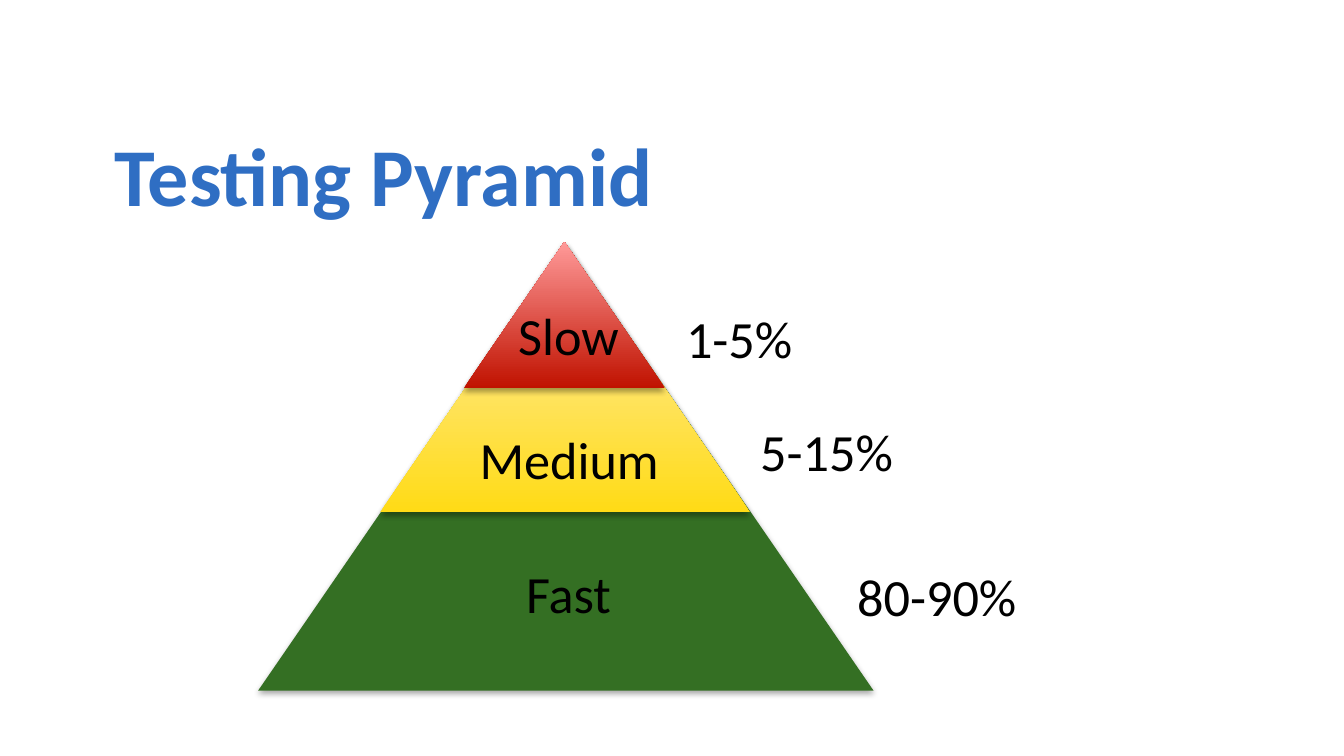
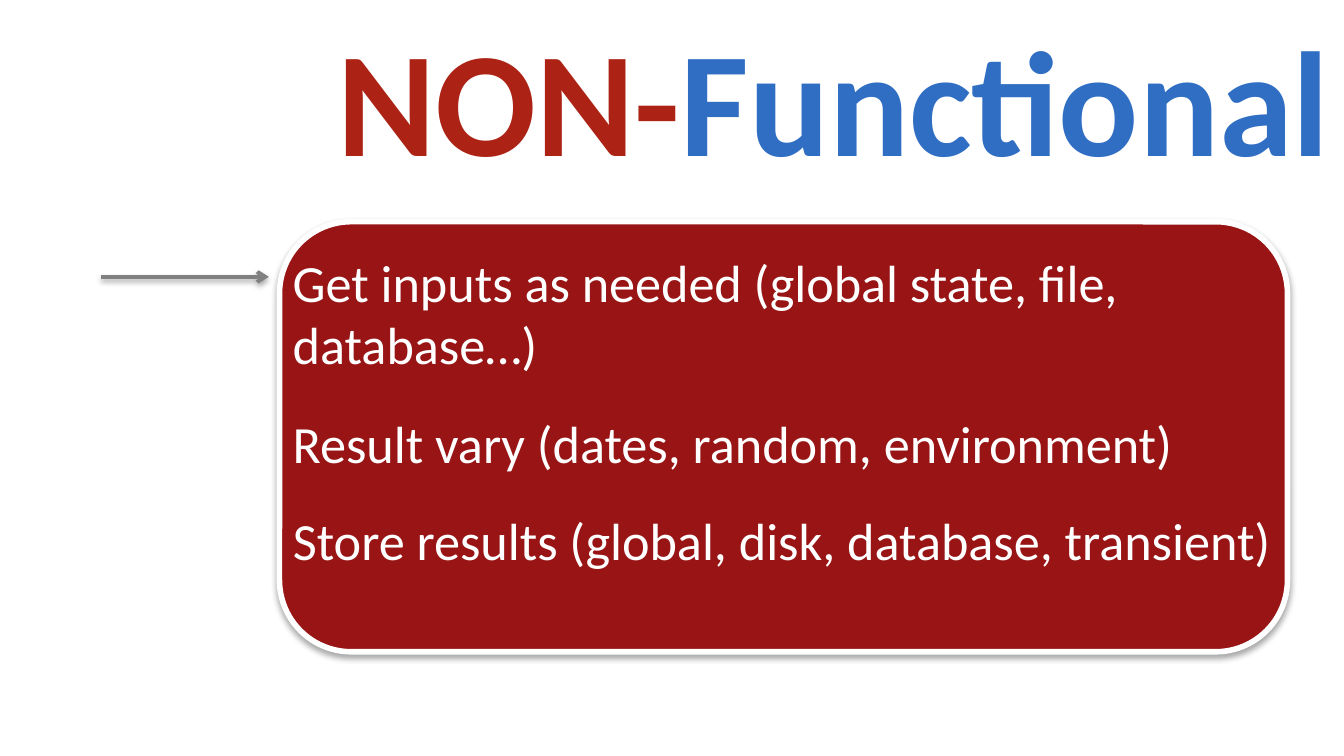
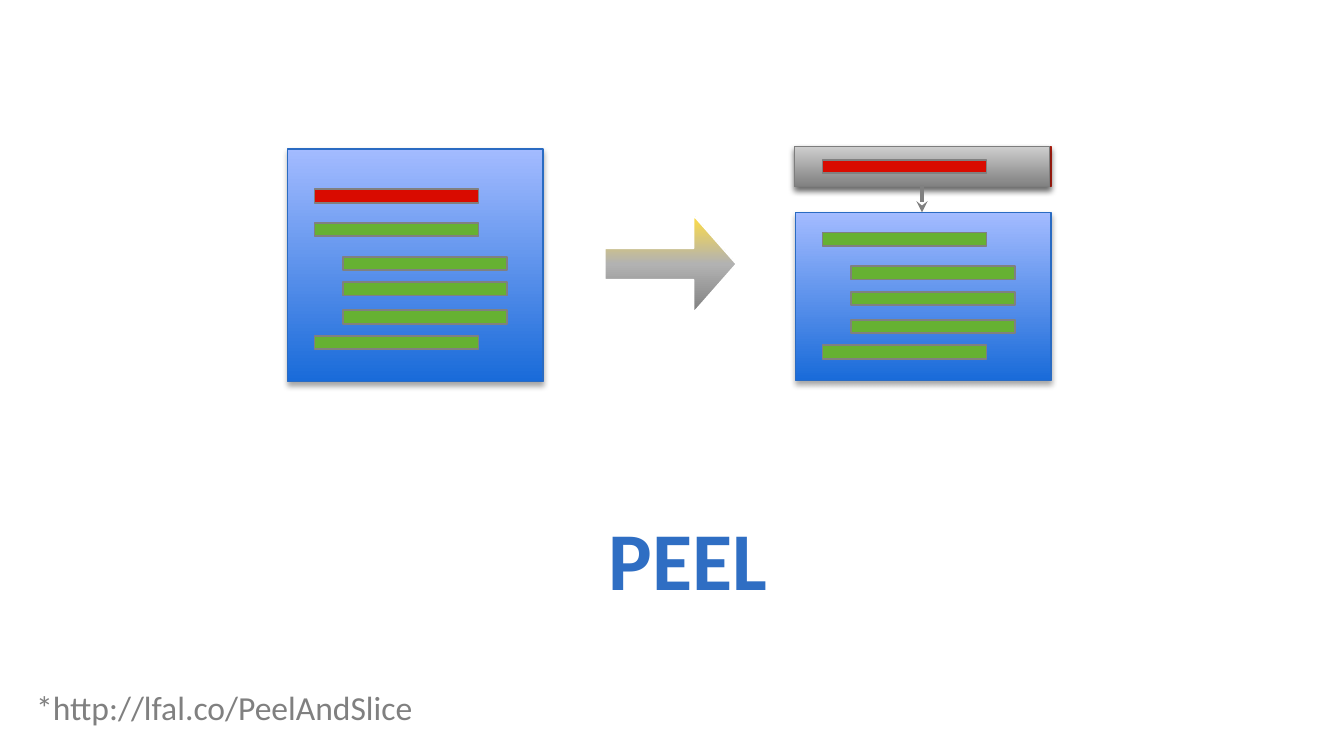
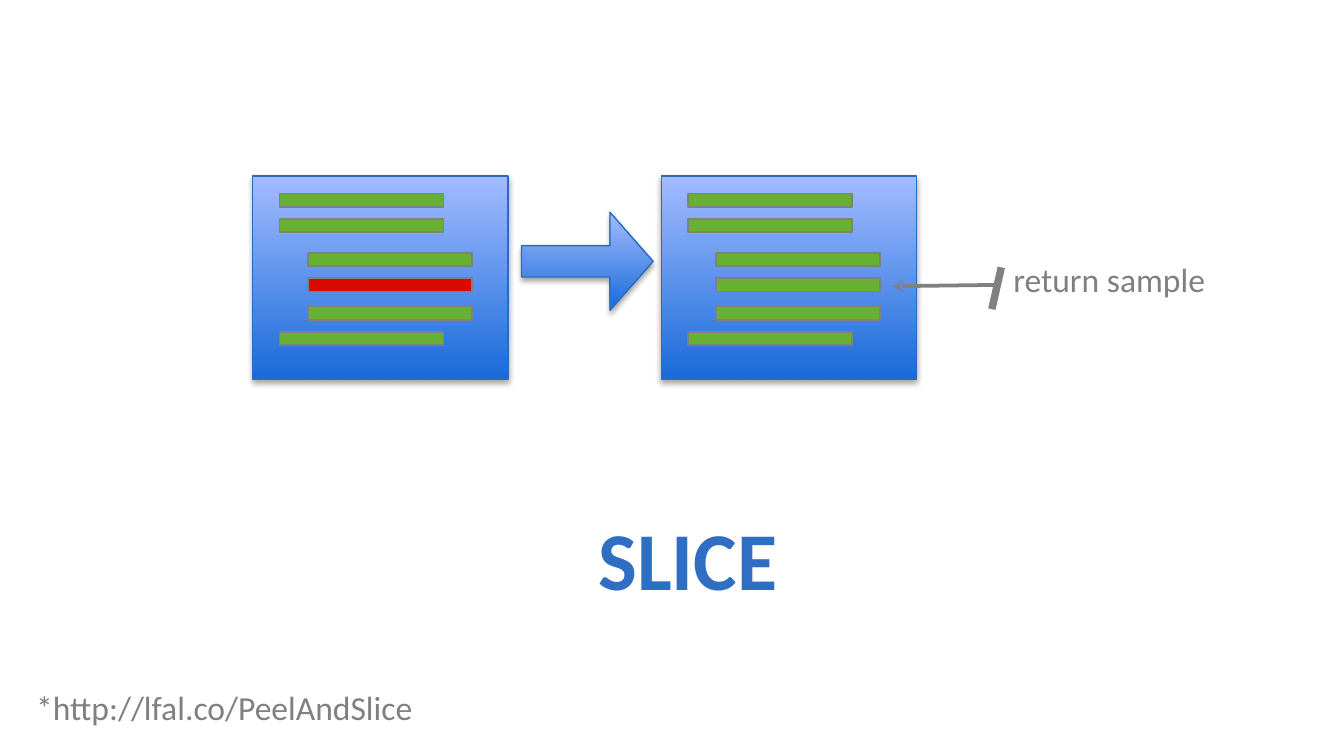
from copy import deepcopy
from lxml.etree import SubElement
from pptx import Presentation
from pptx.dml.color import RGBColor
from pptx.enum.shapes import MSO_CONNECTOR, MSO_SHAPE
from pptx.enum.text import MSO_ANCHOR, MSO_AUTO_SIZE, PP_ALIGN
from pptx.oxml import parse_xml
from pptx.oxml.ns import nsdecls, qn
from pptx.util import Inches, Pt

BLACK = RGBColor(0x00, 0x00, 0x00)
WHITE = RGBColor(0xFF, 0xFF, 0xFF)
GRAY = RGBColor(0x80, 0x80, 0x80)
BAND_EDGE = RGBColor(0x7D, 0x7D, 0x7D)
SILVER = RGBColor(0xB2, 0xB2, 0xB2)
PALE_GRAY = RGBColor(0xCD, 0xCD, 0xCD)
TITLE_BLUE = RGBColor(0x2F, 0x6E, 0xC3)
EDGE_BLUE = RGBColor(0x2A, 0x6B, 0xC2)
DEEP_BLUE = RGBColor(0x19, 0x6B, 0xD9)
PALE_BLUE = RGBColor(0xA3, 0xBB, 0xFF)
TITLE_RED = RGBColor(0xAC, 0x22, 0x14)
EDGE_RED = RGBColor(0xAC, 0x1E, 0x10)
PANEL_RED = RGBColor(0x98, 0x14, 0x15)
BAR_RED = RGBColor(0xD9, 0x0B, 0x00)
DEEP_RED = RGBColor(0xC0, 0x12, 0x00)
PALE_RED = RGBColor(0xFF, 0x9A, 0x99)
FOREST = RGBColor(0x34, 0x6F, 0x23)
BAR_GREEN = RGBColor(0x66, 0xB1, 0x32)
YELLOW = RGBColor(0xFF, 0xDB, 0x16)
PALE_YELLOW = RGBColor(0xFF, 0xEE, 0xBD)
GOLD = RGBColor(0xFF, 0xDD, 0x44)

BLUE_FADE = (DEEP_BLUE, PALE_BLUE)
RED_FADE = (DEEP_RED, PALE_RED)
FONT = "Calibri"
SHADOW = parse_xml(
    f'<a:outerShdw {nsdecls("a")} blurRad="{Pt(3.1)}" dist="{Pt(1.8)}" dir="5400000" rotWithShape="0">'
    '<a:srgbClr val="000000"><a:alpha val="35000"/></a:srgbClr></a:outerShdw>'
)

deck = Presentation()
deck.slide_width = Inches(10)
deck.slide_height = int(deck.slide_width * 9 / 16)
CELL = deck.slide_width / 100
TITLE_ONLY = deck.slide_layouts[5]


def add_block(page, kind, area, colours, edge=None, edge_width=1, shadow=False):
    block = page.shapes.add_shape(kind, *(int(length * CELL) for length in area))
    if len(colours) == 1:
        block.fill.solid()
        block.fill.fore_color.rgb = colours[0]
    else:
        block.fill.gradient()
        block.fill.gradient_angle = 90
        stop_list = block._element.spPr.find(".//" + qn("a:gsLst"))
        for _ in colours[2:]:
            stop_list.append(deepcopy(stop_list[0]))
        for index, (stop, colour) in enumerate(zip(block.fill.gradient_stops, colours)):
            stop.position = index / (len(colours) - 1)
            stop.color.rgb = colour
    if edge is None:
        block.line.fill.background()
    else:
        block.line.color.rgb = edge
        block.line.width = Pt(edge_width)
    block.shadow.inherit = False
    if shadow:
        block._element.spPr.find(qn("a:effectLst")).append(deepcopy(SHADOW))
    return block


def add_label(page, text, area, size, colour, align=PP_ALIGN.LEFT, wrap=False):
    box = page.shapes.add_textbox(*(int(length * CELL) for length in area))
    frame = box.text_frame
    frame.word_wrap = wrap
    frame.auto_size = MSO_AUTO_SIZE.SHAPE_TO_FIT_TEXT
    frame.text = text
    para = frame.paragraphs[0]
    para.alignment = align
    para.font.name = FONT
    para.font.size = Pt(size)
    para.font.color.rgb = colour
    return box


BLUE_ONLY = (TITLE_BLUE,)
titles = [
    (("Testing Pyramid",), BLUE_ONLY, (7.5, 8.4, 85, 9.1), 44, PP_ALIGN.LEFT, MSO_ANCHOR.MIDDLE),
    (("NON-", "Functional"), (TITLE_RED, TITLE_BLUE), (0, 0, 100, 56.25), 80, PP_ALIGN.RIGHT, MSO_ANCHOR.TOP),
    (("PEEL",), BLUE_ONLY, (5.8, 37.3, 90.8, 8.4), 44, PP_ALIGN.CENTER, MSO_ANCHOR.TOP),
    (("SLICE",), BLUE_ONLY, (5.8, 37.3, 90.8, 8.4), 44, PP_ALIGN.CENTER, MSO_ANCHOR.TOP),
]
for words, colours, area, size, align, anchor in titles:
    page = deck.slides.add_slide(TITLE_ONLY)
    title = page.shapes.title
    title.left, title.top, title.width, title.height = (int(length * CELL) for length in area)
    frame = title.text_frame
    frame.word_wrap = True
    frame.auto_size = MSO_AUTO_SIZE.NONE
    frame.vertical_anchor = anchor
    para = frame.paragraphs[0]
    para.alignment = align
    for word, colour in zip(words, colours):
        span = para.add_run()
        span.text = word
        span.font.name = FONT
        span.font.size = Pt(size)
        span.font.bold = True
        span.font.color.rgb = colour
pyramid, impure, peel, slice_page = deck.slides

tiers = [
    ((19.2, 18.1, 45.8, 33.3), (FOREST,)),
    ((28.3, 18.1, 27.5, 20), (YELLOW, PALE_YELLOW)),
    ((34.5, 18, 15, 10.9), RED_FADE),
]
for area, colours in tiers:
    add_block(pyramid, MSO_SHAPE.ISOSCELES_TRIANGLE, area, colours, shadow=True)

tier_labels = [
    ("Slow", 37.5, 22.1, 9.6),
    ("Medium", 34.6, 31.3, 15.5),
    ("Fast", 38, 41.3, 8.6),
    ("1-5%", 50, 22.3, 10),
    ("5-15%", 55.5, 30.7, 12),
    ("80-90%", 62.7, 41.5, 14),
]
for text, left, top, width in tier_labels:
    add_label(pyramid, text, (left, top, width, 5.7), 28, BLACK, PP_ALIGN.CENTER)

add_block(impure, MSO_SHAPE.ROUNDED_RECTANGLE, (20.8, 16.5, 75, 32), (PANEL_RED,), WHITE, 3, True)
traits = [
    ("Get inputs as needed (global state, file, database…)", 18.1, 75, 10.4),
    ("Result vary (dates, random, environment)", 30.1, 68.3, 5.7),
    ("Store results (global, disk, database, transient)", 37.3, 77.5, 5.7),
]
for text, top, width, height in traits:
    add_label(impure, text, (20.8, top, width, height), 28, WHITE, wrap=True)

add_block(peel, MSO_SHAPE.RECTANGLE, (59.2, 10.9, 19, 3), RED_FADE, EDGE_RED, 0.75, True)
add_block(peel, MSO_SHAPE.RECTANGLE, (59.1, 10.9, 19, 3), (GRAY, PALE_GRAY), BAND_EDGE, 0.75, True)

code_lines = [(0, 0), (2.1, 2.5), (2.1, 4.4), (2.1, 6.5), (0, 8.4)]
panels = [
    (peel, 21.4, 11.1, 17.3, 16.6, 14.1, 0),
    (peel, 59.2, 15.8, 12.5, 17.3, 11.9, 0),
    (slice_page, 18.8, 13.1, 15.1, 16.3, 14.4, 3),
    (slice_page, 49.2, 13.1, 15.1, 16.3, 14.4, None),
]
for page, left, top, height, code_top, first_top, slow_line in panels:
    add_block(page, MSO_SHAPE.RECTANGLE, (left, top, 19, height), BLUE_FADE, EDGE_BLUE, 0.75, True)
    for index, (indent, drop) in enumerate([(0, first_top - code_top)] + code_lines):
        colour = BAR_RED if index == slow_line else BAR_GREEN
        area = (left + 2 + indent, code_top + drop, 12.2, 1)
        add_block(page, MSO_SHAPE.RECTANGLE, area, (colour,), GRAY)

steps = [
    (peel, 45, 16, (GRAY, SILVER, GOLD), WHITE, 1, False),
    (slice_page, 38.8, 15.8, BLUE_FADE, EDGE_BLUE, 0.75, True),
]
for page, left, top, colours, edge, edge_width, shadow in steps:
    arrow = add_block(page, MSO_SHAPE.RIGHT_ARROW, (left, top, 9.8, 7.3), colours, edge, edge_width, shadow)
    arrow.adjustments[0] = 0.32
    arrow.adjustments[1] = 0.44
    add_label(page, "*http://lfal.co/PeelAndSlice", (1.7, 50.6, 30.5, 4), 18, GRAY)

sample = add_label(slice_page, "return sample", (75, 19.3, 15.2, 3), 18, GRAY).text_frame
sample.margin_left = sample.margin_right = int(0.4 * CELL)
sample.margin_top = sample.margin_bottom = 0

links = [
    (impure, (7.5, 20.6, 20, 20.6), 2, "a:tailEnd", "arrow", True),
    (peel, (68.6, 15.8, 68.6, 13.8), 2, "a:headEnd", "stealth", False),
    (slice_page, (66.4, 21.3, 74.2, 21.2), 2, "a:headEnd", "stealth", False),
    (slice_page, (74.5, 19.9, 73.8, 23), 4, None, None, False),
]
for page, ends, width, tip, tip_type, shadow in links:
    link = page.shapes.add_connector(MSO_CONNECTOR.STRAIGHT, *(int(length * CELL) for length in ends))
    link.line.color.rgb = GRAY
    link.line.width = Pt(width)
    properties = link._element.spPr
    if tip:
        SubElement(properties.find(qn("a:ln")), qn(tip), type=tip_type)
    effects = SubElement(properties, qn("a:effectLst"))
    if shadow:
        effects.append(deepcopy(SHADOW))

deck.save("out.pptx")
